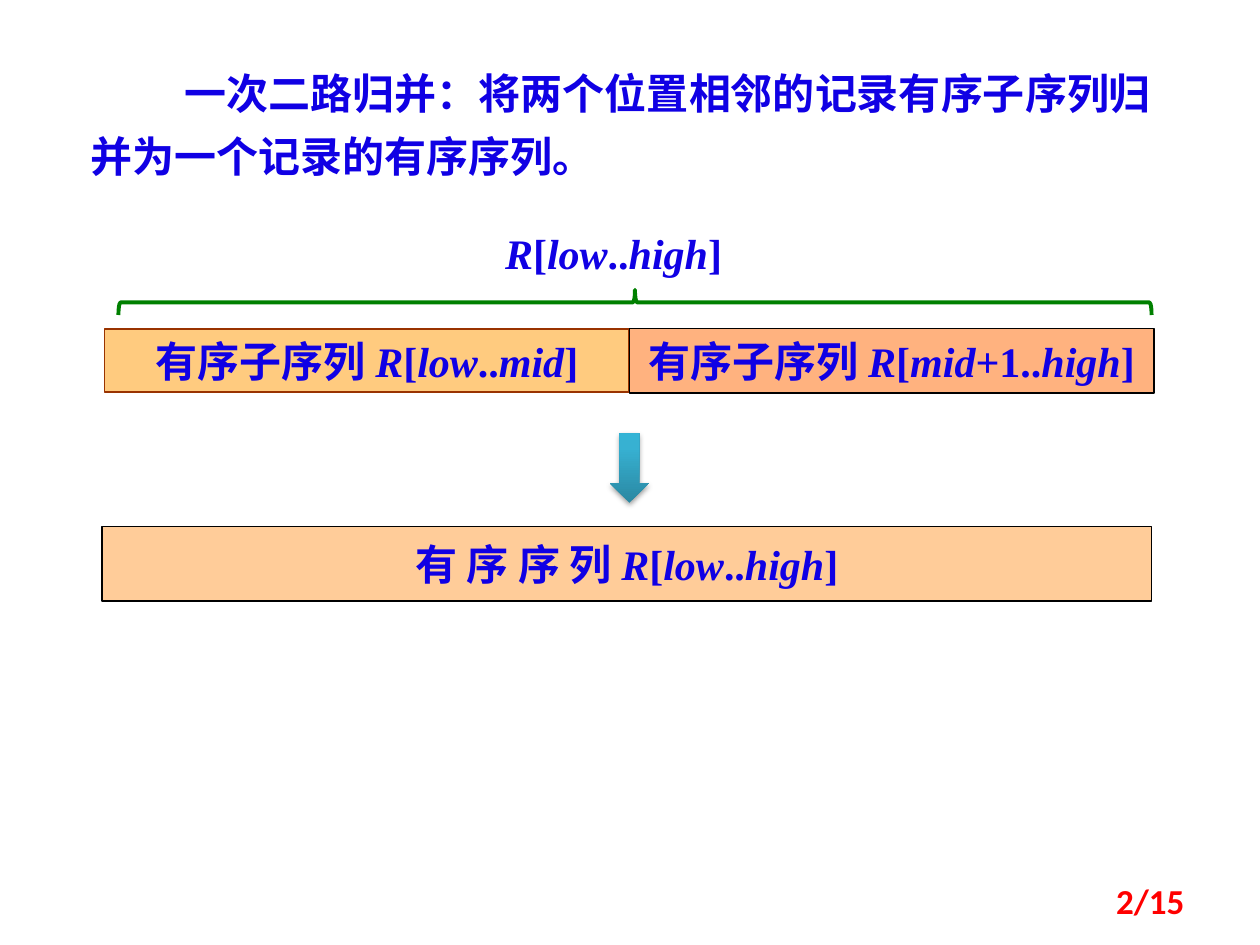
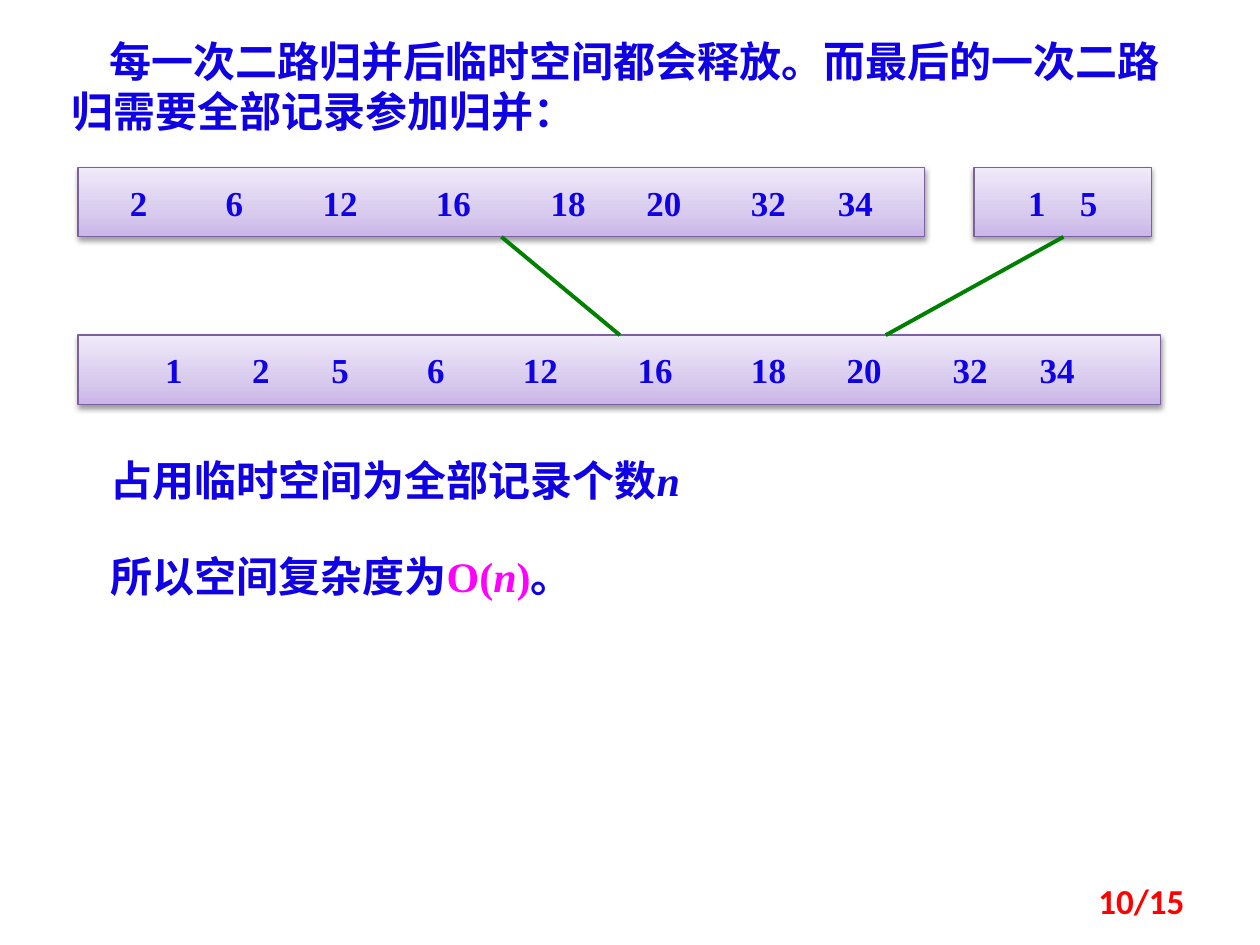
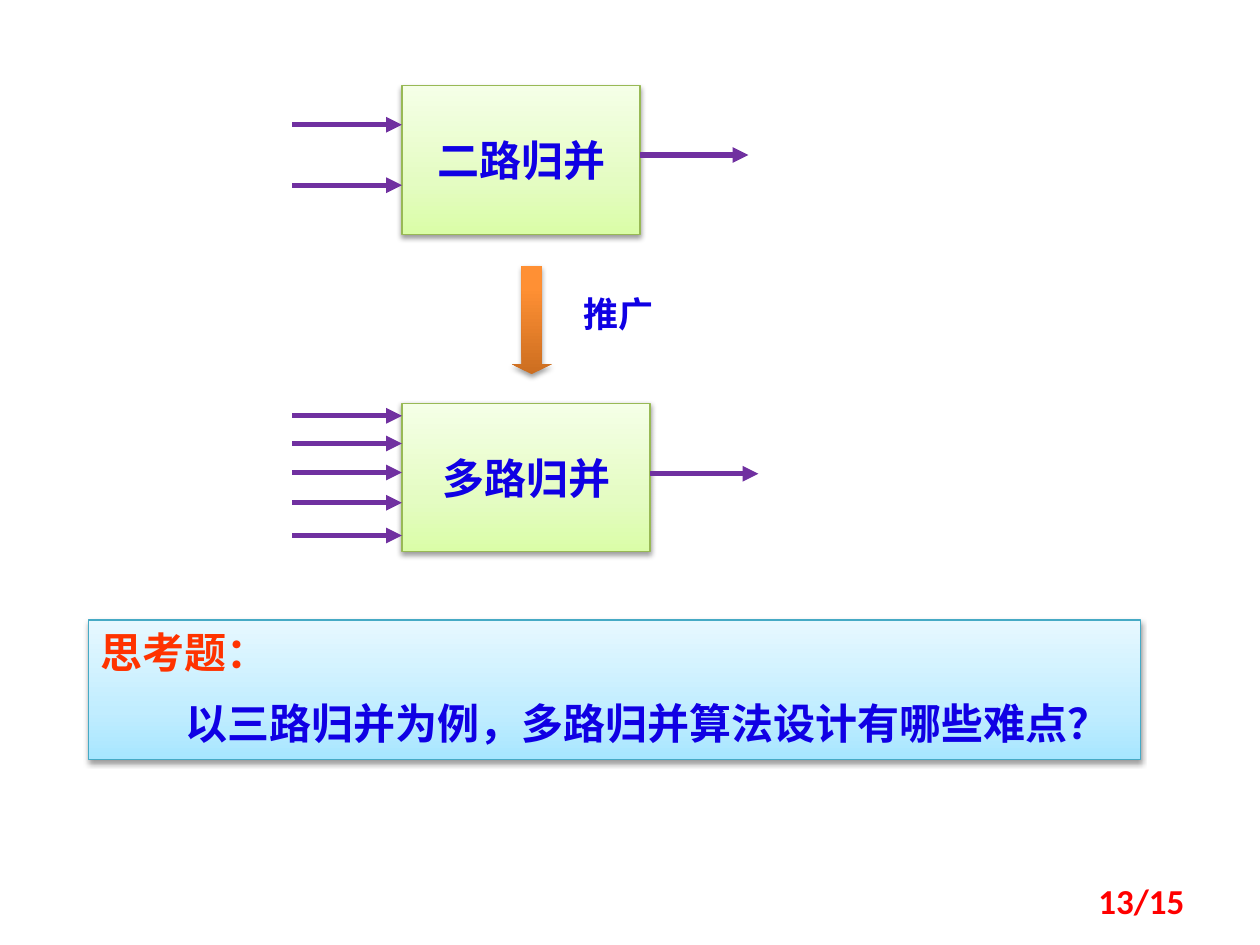
from collections import namedtuple

from lxml import etree
from pptx import Presentation
from pptx import util as u
from pptx.dml.color import RGBColor
from pptx.enum import shapes, text
from pptx.oxml.ns import qn

COLUMNS, ROWS = 100, 75
COLOURS = {
    "ink": "1000E4", "page": "FF0000", "accent": "FF00FF", "question": "FF3300",
    "black": "000000", "brown": "993300", "green": "008000", "purple": "7030A0",
    "low": "FF9900", "high": "FF6600", "merged": "FFCC99",
    "lilac edge": "7D60A0", "lime edge": "98B955", "sky edge": "46AAC5",
}
GRADIENTS = {  # (position in percent, colour), from bottom to top
    "lilac": [(0, "C9B5E8"), (35, "D8CBEE"), (100, "F0EAF9")],
    "lime": [(0, "DAFDA7"), (35, "E4FCC2"), (100, "F5FFE7")],
    "sky": [(0, "A7E6FF"), (35, "C1EDFF"), (100, "E7F8FF")],
    "teal": [(0, "2A88A2"), (80, "37B1D2"), (100, "34B4D6")],
    "orange": [(0, "CC6E20"), (80, "FF9034"), (100, "FF9136")],
}
SERIF, SANS, CJK = "Times New Roman", "Calibri", "Noto Sans CJK SC"
LEFT, CENTRE, RIGHT = text.PP_ALIGN.LEFT, text.PP_ALIGN.CENTER, text.PP_ALIGN.RIGHT
MIDDLE = text.MSO_ANCHOR.MIDDLE

deck = Presentation()
deck.slide_width, deck.slide_height = u.Inches(10), u.Inches(7.5)


def across(columns):
    """Turn grid columns into a length."""
    return round(deck.slide_width * columns / COLUMNS)


def down(rows):
    """Turn grid rows into a length."""
    return round(deck.slide_height * rows / ROWS)


class Box(namedtuple("Box", "x y w h")):
    """A region of the grid."""

    def inner(self, dx, dy, w, h):
        """Give a region placed from this one's top left corner."""
        return Box(self.x + dx, self.y + dy, w, h)

    def lengths(self):
        """Give left, top, width and height as lengths."""
        return across(self.x), down(self.y), across(self.w), down(self.h)


def rgb(name):
    """Look up a colour."""
    return RGBColor.from_string(COLOURS[name])


def child(parent, tag, **attributes):
    """Append a drawing element."""
    element = etree.SubElement(parent, qn("a:" + tag))
    for key, value in attributes.items():
        element.set(key, str(value))
    return element


def write(paragraph, markup, size=24, face=SERIF, colour="ink", align=None):
    """Fill a paragraph; *stars* mark italics, ^carets^ the accent colour."""
    font = paragraph.font
    font.name, font.size, font.bold = face, u.Pt(size), True
    font.color.rgb = rgb(colour)
    child(paragraph._p.pPr.find(qn("a:defRPr")), "ea", typeface=CJK)
    paragraph.alignment = align
    for i, tinted in enumerate(markup.split("^")):
        for j, words in enumerate(tinted.split("*")):
            if words:
                run = paragraph.add_run()
                run.text = words
                if j % 2:
                    run.font.italic = True
                if i % 2:
                    run.font.color.rgb = rgb("accent")


def indent(paragraph, columns):
    """Indent the first line of a paragraph."""
    paragraph._p.get_or_add_pPr().set("indent", str(across(columns)))


def note(slide, box, markup, spacing=None, first=0, anchor=None, **style):
    """Place a plain wrapped text."""
    frame = slide.shapes.add_textbox(*box.lengths()).text_frame
    frame.word_wrap = True
    frame.vertical_anchor = anchor
    paragraph = frame.paragraphs[0]
    write(paragraph, markup, **style)
    if spacing:
        paragraph.line_spacing = spacing
    if first:
        indent(paragraph, first)


def block(slide, box, kind="RECTANGLE", fill=None, edge=None, weight=0.75, alpha=None):
    """Place a shape with a flat fill, or a gradient with a soft shadow."""
    shape = slide.shapes.add_shape(getattr(shapes.MSO_SHAPE, kind), *box.lengths())
    shape.shadow.inherit = False
    properties = shape._element.spPr
    if fill in GRADIENTS:
        shape.fill.gradient()
        shape.fill.gradient_angle = 90
        stops = properties.find(qn("a:gradFill")).find(qn("a:gsLst"))
        for stop in list(stops):
            stops.remove(stop)
        for position, colour in GRADIENTS[fill]:
            child(child(stops, "gs", pos=position * 1000), "srgbClr", val=colour)
        shadow = child(properties.find(qn("a:effectLst")), "outerShdw",
                       blurRad=u.Pt(3.1), dist=u.Pt(1.6), dir=5400000, rotWithShape=0)
        child(child(shadow, "srgbClr", val=COLOURS["black"]), "alpha", val=38000)
    elif fill:
        shape.fill.solid()
        shape.fill.fore_color.rgb = rgb(fill)
        if alpha:
            child(properties.find(qn("a:solidFill"))[0], "alpha", val=alpha * 1000)
    else:
        shape.fill.background()
    if edge:
        shape.line.color.rgb = rgb(edge)
        shape.line.width = u.Pt(weight)
    else:
        shape.line.fill.background()
    return shape


def label(shape, markup, **style):
    """Centre one line of text in a shape."""
    frame = shape.text_frame
    frame.word_wrap = False
    frame.vertical_anchor = MIDDLE
    write(frame.paragraphs[0], markup, align=CENTRE, **style)


def line(slide, start, end, colour, weight, arrow=False):
    """Draw a straight line, with an arrowhead at its end if asked."""
    ends = [f(v) for point in (start, end) for f, v in zip((across, down), point)]
    connector = slide.shapes.add_connector(shapes.MSO_CONNECTOR.STRAIGHT, *ends)
    connector.line.color.rgb = rgb(colour)
    connector.line.width = u.Pt(weight)
    properties = connector._element.spPr
    if arrow:
        child(properties.find(qn("a:ln")), "tailEnd", type="triangle")
    child(properties, "effectLst")


def new_slide(number):
    """Add a blank slide with its page number."""
    slide = deck.slides.add_slide(deck.slide_layouts[6])
    note(slide, Box(71.7, 69.5, 23.3, 4), f"{number}/15", size=20, face=SANS,
         colour="page", align=RIGHT, anchor=MIDDLE)
    return slide


def top_brace(slide, box):
    """Draw a brace over a region by turning an upright one."""
    upright = Box(box.x + (box.w - box.h) / 2, box.y + (box.h - box.w) / 2, box.h, box.w)
    block(slide, upright, "RIGHT_BRACE", edge="green", weight=2.25).rotation = 270


def merge_diagram(slide, box):
    """Show two adjacent ordered runs becoming one."""
    half = box.w / 2
    note(slide, box.inner(31, 0, 21.1, 5), "*R*[*low*..*high*]")
    top_brace(slide, box.inner(1.3, 5.4, 82, 2))
    low = block(slide, box.inner(0.2, 8.5, half, 5), fill="low", edge="brown",
                weight=1, alpha=50)
    label(low, "有序子序列 *R*[*low*..*mid*]")
    high = block(slide, box.inner(0.2 + half, 8.5, half, 5.1), fill="high",
                 edge="black", alpha=50)
    label(high, "有序子序列 *R*[*mid*+1..*high*]")
    block(slide, box.inner(40.3, 16.8, 3.1, 5.5), "DOWN_ARROW", fill="teal")
    merged = block(slide, box.inner(0, 24.2, box.w, 5.9), fill="merged", edge="black")
    label(merged, "有 序 序 列 *R*[*low*..*high*]")


def record_row(slide, box, keys, offsets):
    """Draw a band of keys set on tab stops at the given columns."""
    frame = block(slide, box, fill="lilac", edge="lilac edge").text_frame
    frame.word_wrap = True
    frame.vertical_anchor = MIDDLE
    frame.margin_left, frame.margin_right = across(offsets[0]), 0
    paragraph = frame.paragraphs[0]
    write(paragraph, "\t".join(map(str, keys)), size=20, align=LEFT)
    stops = etree.Element(qn("a:tabLst"))
    for offset in offsets[1:]:
        child(stops, "tab", pos=across(offset - offsets[0]), algn="l")
    paragraph._p.pPr.find(qn("a:defRPr")).addprevious(stops)


def last_merge(slide, box):
    """Show the last merge of a long and a short run."""
    height = 5.5
    long_run, short_run = [2, 6, 12, 16, 18, 20, 32, 34], [1, 5]
    record_row(slide, box.inner(0, 0, 67.2, height), long_run,
               [4.1, 11.7, 19.4, 28.4, 37.5, 45.1, 53.4, 60.3])
    record_row(slide, box.inner(71.1, 0, 14.1, height), short_run, [4.3, 8.4])
    record_row(slide, box.inner(0, 13.3, box.w, height), sorted(long_run + short_run),
               [6.9, 13.8, 20.1, 27.7, 35.3, 44.4, 53.4, 61, 69.4, 76.3])
    for start, end in ((33.6, 43), (78.2, 64.1)):
        line(slide, (box.x + start, box.y + height), (box.x + end, box.y + 13.3),
             "green", 2.25)


def merge_unit(slide, box, name, inputs, output):
    """Draw a merge step with arrows in and out at the given rows."""
    label(block(slide, box, fill="lime", edge="lime edge"), name, face=CJK)
    right = box.x + box.w
    arrows = [(box.x - 8.7, box.x, row) for row in inputs]
    arrows.append((right, right + 8.6, output))
    for start, end, row in arrows:
        line(slide, (start, box.y + row), (end, box.y + row), "purple", 3, arrow=True)


def question_panel(slide, box, heading, question):
    """Place the closing question on a band."""
    frame = block(slide, box, fill="sky", edge="sky edge").text_frame
    frame.word_wrap = True
    frame.vertical_anchor = text.MSO_ANCHOR.TOP
    write(frame.paragraphs[0], heading, face=SANS, colour="question", align=LEFT)
    body = frame.add_paragraph()
    write(body, question, face=CJK, align=LEFT)
    body.space_before = u.Pt(12)
    indent(body, 6.7)


def definition_slide():
    """Build the slide that defines one two-way merge."""
    slide = new_slide(2)
    note(slide, Box(6.2, 3.9, 87.7, 11.1),
         "一次二路归并：将两个位置相邻的记录有序子序列归并为一个记录的有序序列。",
         spacing=1.25, first=7.5)
    merge_diagram(slide, Box(8.1, 17.6, 83.3, 30.1))


def space_slide():
    """Build the slide on space complexity."""
    slide = new_slide(10)
    note(slide, Box(4.7, 2.3, 89.8, 9.1),
         "每一次二路归并后临时空间都会释放。而最后的一次二路归需要全部记录参加归并：",
         face=CJK, first=3)
    last_merge(slide, Box(6.2, 13.3, 85.9, 18.8))
    note(slide, Box(7.8, 35.6, 55.5, 5), "占用临时空间为全部记录个数*n*")
    note(slide, Box(7.8, 42.2, 40.6, 6.1), "所以空间复杂度为^Ο(*n*)^。", spacing=1.25)


def extension_slide():
    """Build the slide that extends merging to many ways."""
    slide = new_slide(13)
    merge_unit(slide, Box(31.9, 6.8, 18.9, 11.8), "二路归并", [3.1, 7.9], 5.5)
    block(slide, Box(40.6, 21.1, 3.2, 8.6), "DOWN_ARROW", fill="orange").adjustments[1] = 0.25
    note(slide, Box(45.3, 22.7, 14.8, 4.4), "推广", size=20, face=CJK)
    merge_unit(slide, Box(31.9, 32, 19.7, 11.8), "多路归并",
               [1, 3.2, 5.5, 7.9, 10.5], 5.6)
    question_panel(slide, Box(7, 49.2, 83.5, 11.1), "思考题：",
                   "以三路归并为例，多路归并算法设计有哪些难点？")


definition_slide()
space_slide()
extension_slide()
deck.save("out.pptx")
